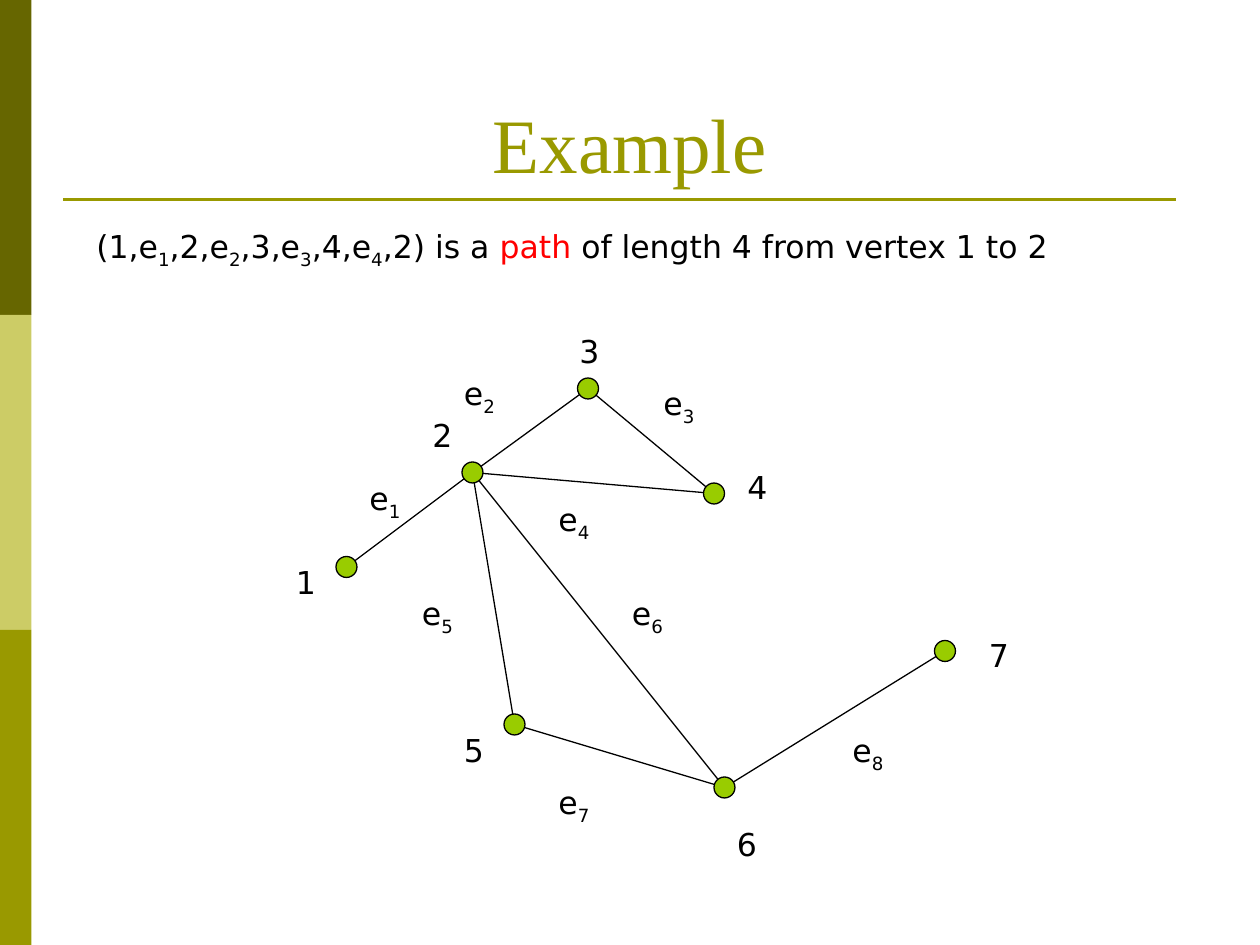
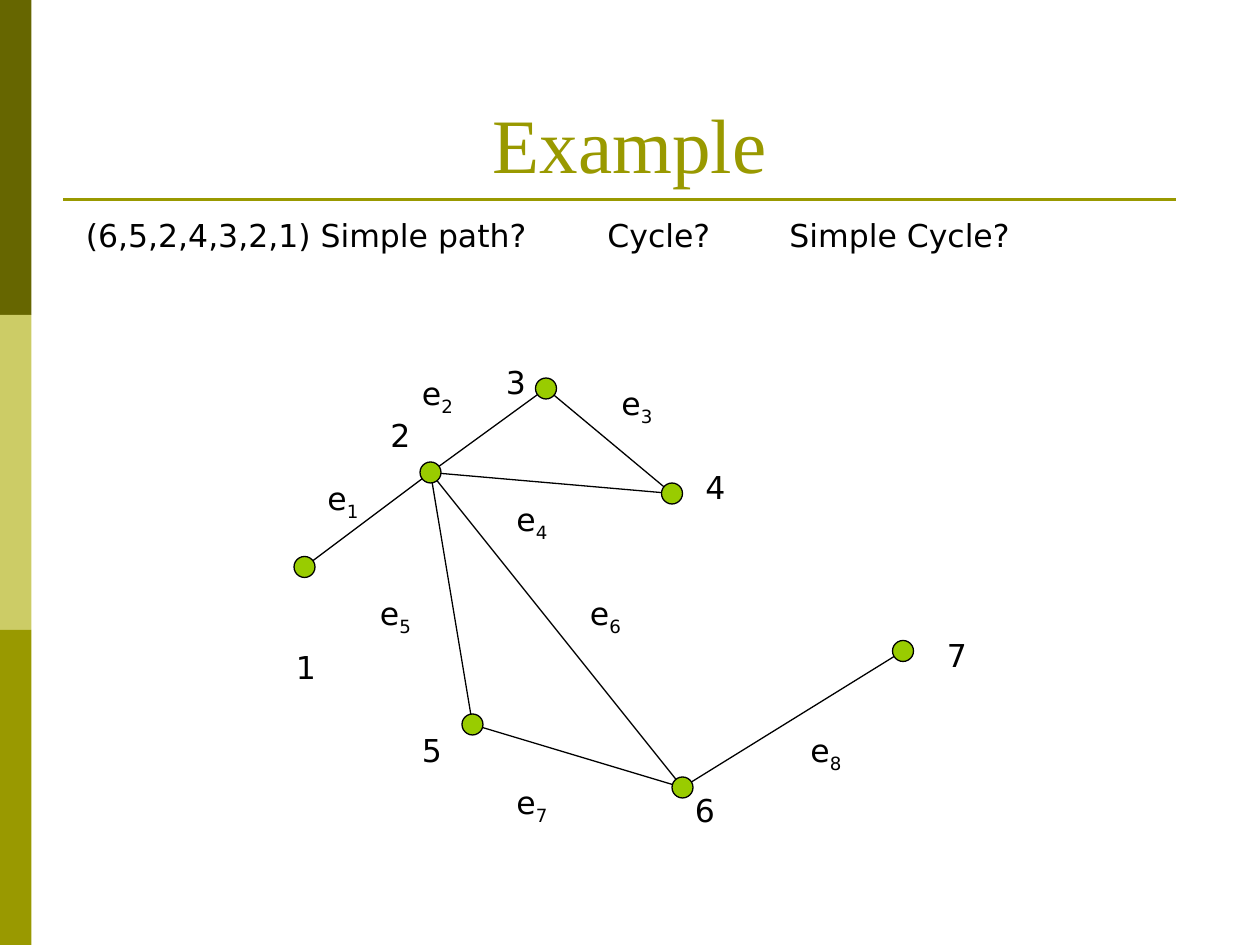
from lxml import etree
from pptx import Presentation
from pptx.dml.color import RGBColor
from pptx.enum.shapes import MSO_CONNECTOR as Connector, MSO_SHAPE as Shape
from pptx.enum.text import MSO_ANCHOR as Anchor, PP_ALIGN as Align
from pptx.oxml.ns import qn
from pptx.util import Pt

# Shared look
COLORS = {
    "olive": "999900",
    "dark_olive": "666600",
    "pale_olive": "CCCC66",
    "vertex": "99CC00",
    "ink": "000000",
    "accent": "FF0000",
}
BODY_FONT, TITLE_FONT = "DejaVu Sans", "Times New Roman"
BAND_WIDTH, BAND_HEIGHT = 18, 180
VERTEX_SIZE = 12

# The graph: vertex centres, edges and label corners, in points
VERTICES = {
    "1": (198, 324), "2": (270, 270), "3": (336, 222), "4": (408, 282),
    "5": (294, 414), "6": (414, 450), "7": (540, 372),
}
VERTEX_LABELS = {
    "1": (162, 318), "2": (240, 234), "3": (324, 186), "4": (420, 264),
    "5": (258, 414), "6": (414, 468), "7": (558, 360),
}
EDGES = {  # number: (start, end, label corner)
    "1": ("1", "2", (204, 270)), "2": ("2", "3", (258, 210)),
    "3": ("3", "4", (372, 216)), "4": ("2", "4", (312, 282)),
    "5": ("2", "5", (234, 336)), "6": ("2", "6", (354, 336)),
    "7": ("5", "6", (312, 444)), "8": ("6", "7", (480, 414)),
}


def rgb(name):
    return RGBColor.from_string(COLORS[name])


def add_filled_shape(slide, kind, box, fill, outline=None):
    shape = slide.shapes.add_shape(kind, *map(Pt, box))
    shape.shadow.inherit = False
    shape.fill.solid()
    shape.fill.fore_color.rgb = rgb(fill)
    if outline:
        shape.line.color.rgb = rgb(outline)
        shape.line.width = Pt(0.75)
    else:
        shape.line.fill.background()


def add_line(slide, start, end, color, width):
    line = slide.shapes.add_connector(Connector.STRAIGHT, *map(Pt, start + end))
    line.line.color.rgb = rgb(color)
    line.line.width = Pt(width)
    etree.SubElement(line._element.spPr, qn("a:effectLst"))


def add_text(slide, box, runs, font=BODY_FONT, size=18, color="ink"):
    """Write (text, style) runs; a style is None, "sub" or a colour name."""
    text_box = slide.shapes.add_textbox(*map(Pt, box))
    text_box.text_frame.word_wrap = True
    paragraph = text_box.text_frame.paragraphs[0]
    paragraph.font.name = font
    paragraph.font.size = Pt(size)
    paragraph.font.color.rgb = rgb(color)
    for text, style in runs:
        run = paragraph.add_run()
        run.text = text
        if style == "sub":
            run._r.get_or_add_rPr().set("baseline", "-25000")
        elif style:
            run.font.color.rgb = rgb(style)
    return text_box.text_frame


def set_tab_stops(paragraph, positions):
    properties = paragraph._p.get_or_add_pPr()
    tab_list = etree.Element(qn("a:tabLst"))
    for position in positions:
        etree.SubElement(tab_list, qn("a:tab"), pos=str(Pt(position)), algn="l")
    # Tab stops come before the default run properties
    properties.insert(0, tab_list)


def add_example_slide(presentation):
    """Blank slide with the side bands, the title and its rule."""
    slide = presentation.slides.add_slide(presentation.slide_layouts[6])
    for row, color in enumerate(("dark_olive", "pale_olive", "olive")):
        band = (0, row * BAND_HEIGHT, BAND_WIDTH, BAND_HEIGHT)
        add_filled_shape(slide, Shape.RECTANGLE, band, color)
    add_line(slide, (36, 114), (672, 114), "olive", 1.5)
    title = add_text(slide, (36, 21.6, 648, 90), [("Example", None)],
                     TITLE_FONT, 44, "olive")
    title.vertical_anchor = Anchor.BOTTOM
    title.paragraphs[0].alignment = Align.CENTER
    return slide


def add_graph(slide, shift=0, moved_labels=None):
    """Draw the graph moved sideways by shift; moved_labels are final corners."""
    def place(point):
        return point[0] + shift, point[1]

    # Edges lie behind the vertices
    for start, end, _ in EDGES.values():
        add_line(slide, place(VERTICES[start]), place(VERTICES[end]), "ink", 0.75)
    for x, y in map(place, VERTICES.values()):
        corner = (x - VERTEX_SIZE / 2, y - VERTEX_SIZE / 2)
        add_filled_shape(slide, Shape.FLOWCHART_CONNECTOR,
                         corner + (VERTEX_SIZE, VERTEX_SIZE), "vertex", "ink")

    # Labels
    corners = {name: place(corner) for name, corner in VERTEX_LABELS.items()}
    corners.update(moved_labels or {})
    for name, corner in corners.items():
        add_text(slide, corner + (24, 29), [(name, None)])
    for number, (_, _, corner) in EDGES.items():
        add_text(slide, place(corner) + (48, 32), [("e", None), (number, "sub")])


def main():
    presentation = Presentation()
    presentation.slide_width, presentation.slide_height = Pt(720), Pt(540)

    # A path of length 4
    slide = add_example_slide(presentation)
    add_graph(slide)
    add_text(slide, (48, 126, 594, 65), [
        ("(1,e", None), ("1", "sub"), (",2,e", None), ("2", "sub"),
        (",3,e", None), ("3", "sub"), (",4,e", None), ("4", "sub"),
        (",2) is a ", None), ("path", "accent"),
        (" of length 4 from vertex 1 to 2", None),
    ])

    # Questions about a second path
    slide = add_example_slide(presentation)
    add_graph(slide, -24, {"1": (162, 367), "3": (282, 204), "6": (390, 448.5)})
    questions = add_text(slide, (42, 120, 594, 29), [
        ("(6,5,2,4,3,2,1) Simple path?\tCycle?\tSimple Cycle?", None),
    ])
    set_tab_stops(questions.paragraphs[0], (298, 402))

    presentation.save("out.pptx")


if __name__ == "__main__":
    main()
